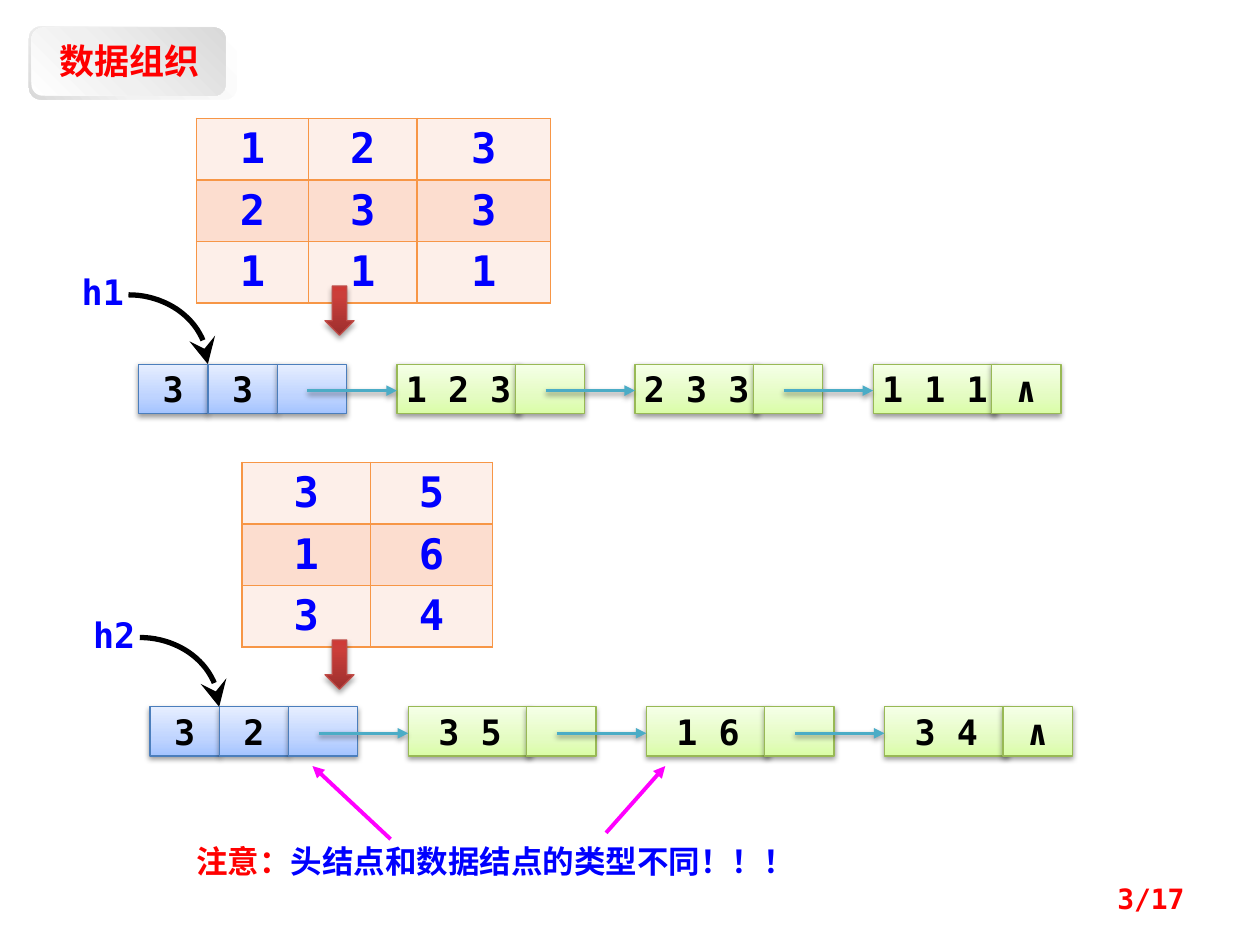
"""Build the slide on data organisation with linked lists for two tables."""
import math

import lxml.etree
import pptx
import pptx.dml.color
import pptx.enum.shapes
import pptx.enum.text
import pptx.oxml.ns
import pptx.util

Inches = pptx.util.Inches
Pt = pptx.util.Pt
RGBColor = pptx.dml.color.RGBColor
Preset = pptx.enum.shapes.MSO_SHAPE
Align = pptx.enum.text.PP_ALIGN
Anchor = pptx.enum.text.MSO_ANCHOR
qn = pptx.oxml.ns.qn

BLACK = RGBColor(0x00, 0x00, 0x00)
BLUE = RGBColor(0x00, 0x00, 0xFF)
RED = RGBColor(0xFF, 0x00, 0x00)
MAGENTA = RGBColor(0xFF, 0x00, 0xFF)
TEAL = RGBColor(0x4B, 0xAC, 0xC6)
ORANGE = RGBColor(0xF7, 0x96, 0x46)
ROW_FILLS = (RGBColor(0xFD, 0xEF, 0xE9), RGBColor(0xFC, 0xDD, 0xCF))
HEAD_LINE = RGBColor(0x4B, 0x7E, 0xBC)
HEAD_STOPS = ((0, RGBColor(0xA4, 0xC4, 0xFF)), (35, RGBColor(0xBF, 0xD4, 0xFF)),
              (100, RGBColor(0xE6, 0xEE, 0xFF)))
NODE_LINE = RGBColor(0x98, 0xB9, 0x55)
NODE_STOPS = ((0, RGBColor(0xDA, 0xFD, 0xA7)), (35, RGBColor(0xE4, 0xFC, 0xC2)),
              (100, RGBColor(0xF5, 0xFF, 0xE7)))
DOWN_LINE = RGBColor(0xBF, 0x4C, 0x48)
DOWN_STOPS = ((0, RGBColor(0x9C, 0x2F, 0x2D)), (80, RGBColor(0xCB, 0x3E, 0x3A)),
              (100, RGBColor(0xCE, 0x3B, 0x37)))
WHITE = RGBColor(0xFF, 0xFF, 0xFF)
SILVER = RGBColor(0xD9, 0xD9, 0xD9)
OUTER_STOPS = ((0, WHITE), (62, RGBColor(0xF2, 0xF2, 0xF2)), (100, SILVER))
INNER_STOPS = ((0, WHITE), (42, RGBColor(0xF0, 0xF0, 0xF0)), (100, SILVER))


def add_xml(parent, tag, **attributes):
    values = {name: str(value) for name, value in attributes.items()}
    return lxml.etree.SubElement(parent, qn(tag), values)


class SlideWriter:
    mono = "DejaVu Sans Mono"
    cjk = "Noto Sans CJK SC"

    def __init__(self, slide):
        self.slide = slide
        self.shapes = slide.shapes

    def style(self, paragraph, size, color, align=Align.LEFT, face=mono):
        font = paragraph.font
        font.name, font.size, font.bold = face, Pt(size), True
        font.color.rgb = color
        paragraph.alignment = align
        add_xml(paragraph._p.pPr.find(qn("a:defRPr")), "a:ea", typeface=self.cjk)

    def shadow(self, drawn, alpha=0, distance=1.6):
        effects = add_xml(drawn._element.spPr, "a:effectLst")
        if alpha:
            outer = add_xml(effects, "a:outerShdw", blurRad=Pt(3.1), dist=Pt(distance),
                            dir=5400000, rotWithShape=0)
            add_xml(add_xml(outer, "a:srgbClr", val=BLACK), "a:alpha", val=alpha * 1000)

    def arrowhead(self, drawn, kind, size="med"):
        add_xml(drawn._element.spPr.find(qn("a:ln")), "a:tailEnd", type=kind, w=size, len=size)

    def box(self, preset, left, top, width, height, stops, angle=90, line=None, text="",
            alpha=0, distance=1.6):
        drawn = self.shapes.add_shape(preset, Inches(left), Inches(top),
                                      Inches(width), Inches(height))
        drawn.fill.gradient()
        drawn.fill.gradient_angle = angle
        stop_list = drawn._element.spPr.find(".//" + qn("a:gsLst"))
        stop_list.clear()
        for position, color in stops:
            add_xml(add_xml(stop_list, "a:gs", pos=position * 1000), "a:srgbClr", val=color)
        if line is None:
            drawn.line.fill.background()
        else:
            drawn.line.color.rgb = line
            drawn.line.width = Pt(0.75)
        self.shadow(drawn, alpha, distance)
        if text:
            frame = drawn.text_frame
            frame.word_wrap = False
            frame.vertical_anchor = Anchor.MIDDLE
            frame.text = text
            self.style(frame.paragraphs[0], 20, BLACK, Align.CENTER)

    def text(self, left, top, width, height, parts, size, align=Align.LEFT):
        frame = self.shapes.add_textbox(Inches(left), Inches(top),
                                        Inches(width), Inches(height)).text_frame
        frame.word_wrap = True
        paragraph = frame.paragraphs[0]
        self.style(paragraph, size, parts[0][1], align)
        for words, color in parts:
            run = paragraph.add_run()
            run.text = words
            if len(parts) > 1:
                run.font.color.rgb = color

    def arrow(self, start, end, color, width, alpha=0):
        drawn = self.shapes.add_connector(pptx.enum.shapes.MSO_CONNECTOR.STRAIGHT,
                                          *map(Inches, (*start, *end)))
        drawn.line.color.rgb = color
        drawn.line.width = Pt(width)
        self.arrowhead(drawn, "triangle")
        self.shadow(drawn, alpha)

    def curved_arrow(self, left, top, width, height, steps=24):
        angles = [math.pi / 2 * step / steps for step in range(1, steps + 1)]
        builder = self.shapes.build_freeform(Inches(left), Inches(top))
        builder.add_line_segments(
            [(Inches(left + width * math.sin(angle)),
              Inches(top + height * (1 - math.cos(angle)))) for angle in angles], close=False)
        drawn = builder.convert_to_shape()
        drawn.fill.background()
        drawn.line.color.rgb = BLACK
        drawn.line.width = Pt(3)
        self.arrowhead(drawn, "stealth", "lg")
        self.shadow(drawn)

    def table(self, left, top, widths, rows, row_height=0.41):
        grid = self.shapes.add_table(len(rows), len(widths), Inches(left), Inches(top),
                                     Inches(sum(widths)), Inches(row_height * len(rows))).table
        grid.first_row = grid.horz_banding = False
        for column, width in zip(grid.columns, widths):
            column.width = Inches(width)
        for r, values in enumerate(rows):
            grid.rows[r].height = Inches(row_height)
            for c, value in enumerate(values):
                cell = grid.cell(r, c)
                cell.text = value
                self.style(cell.text_frame.paragraphs[0], 24, BLUE, Align.CENTER)
                properties = cell._tc.get_or_add_tcPr()
                for side in ("a:lnL", "a:lnR", "a:lnT", "a:lnB"):
                    border = add_xml(properties, side, w=Pt(1))
                    add_xml(add_xml(border, "a:solidFill"), "a:srgbClr", val=ORANGE)
                cell.fill.solid()
                cell.fill.fore_color.rgb = ROW_FILLS[r % 2]

    def linked_list(self, left, top, name, sizes, nodes):
        cell, height, step = 0.55, 0.39, 1.89
        for i, value in enumerate((*sizes, "")):
            self.box(Preset.RECTANGLE, left + i * cell, top, cell, height,
                     HEAD_STOPS, line=HEAD_LINE, text=value, alpha=38)
        self.curved_arrow(left - 0.08, top - 0.55, 0.63, 0.55)
        self.text(left - 0.55, top - 0.79, 0.71, 0.44, [(name, BLUE)], 20)
        for i, value in enumerate(nodes):
            node_left = left + 2.05 + i * step
            ending = "∧" if i == len(nodes) - 1 else ""
            for x, width, words in ((node_left, 0.98, value), (node_left + 0.94, cell, ending)):
                self.box(Preset.RECTANGLE, x, top, width, height,
                         NODE_STOPS, line=NODE_LINE, text=words, alpha=38)
            self.arrow((node_left - 0.71, top + 0.21), (node_left, top + 0.21), TEAL, 2, 38)

    def down_arrow(self, top):
        self.box(Preset.DOWN_ARROW, 2.58, top, 0.23, 0.39, DOWN_STOPS,
                 line=DOWN_LINE, alpha=35, distance=1.8)

    def title(self, words):
        self.box(Preset.ROUNDED_RECTANGLE, 0.23, 0.21, 1.65, 0.58, OUTER_STOPS, angle=225)
        self.box(Preset.ROUNDED_RECTANGLE, 0.25, 0.22, 1.54, 0.54, INNER_STOPS, angle=45)
        heading = self.shapes.title
        heading.left, heading.top = Inches(0.47), Inches(0.31)
        heading.width, heading.height = Inches(1.25), Inches(0.34)
        frame = heading.text_frame
        frame.text = words
        frame.margin_left = frame.margin_right = frame.margin_top = frame.margin_bottom = 0
        frame.vertical_anchor = Anchor.MIDDLE
        self.style(frame.paragraphs[0], 20, RED, face=self.cjk)
        self.shapes._spTree.append(heading._element)


def main():
    deck = pptx.Presentation()
    deck.slide_width, deck.slide_height = Inches(10), Inches(7.5)
    writer = SlideWriter(deck.slides.add_slide(deck.slide_layouts[5]))
    writer.title("数据组织")
    writer.table(1.56, 0.94, (0.89, 0.86, 1.06), ("123", "233", "111"))
    writer.table(1.92, 3.67, (1.02, 0.97), ("35", "16", "34"))
    writer.linked_list(1.1, 2.89, "h1", "33", ("1 2 3", "2 3 3", "1 1 1"))
    writer.linked_list(1.19, 5.61, "h2", "32", ("3 5", "1 6", "3 4"))
    for top in (2.27, 5.08):
        writer.down_arrow(top)
    writer.text(1.46, 6.63, 5.03, 0.4,
                [("注意：", RED), ("头结点和数据结点的类型不同！！！", BLUE)], 18)
    writer.arrow((3.1, 6.66), (2.48, 6.08), MAGENTA, 2.25)
    writer.arrow((4.81, 6.61), (5.28, 6.08), MAGENTA, 2.25)
    writer.text(7.17, 6.95, 2.33, 0.4, [("3/17", RED)], 16, Align.RIGHT)
    deck.save("out.pptx")


if __name__ == "__main__":
    main()
